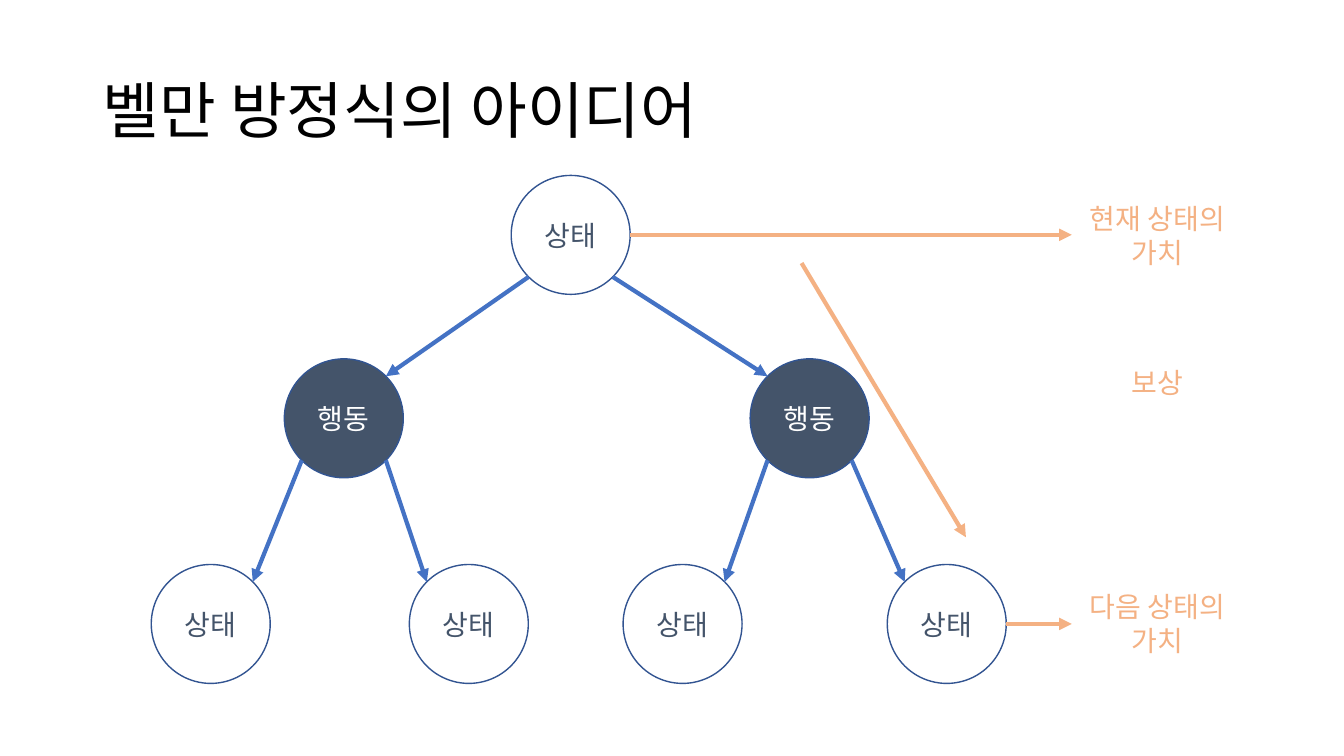
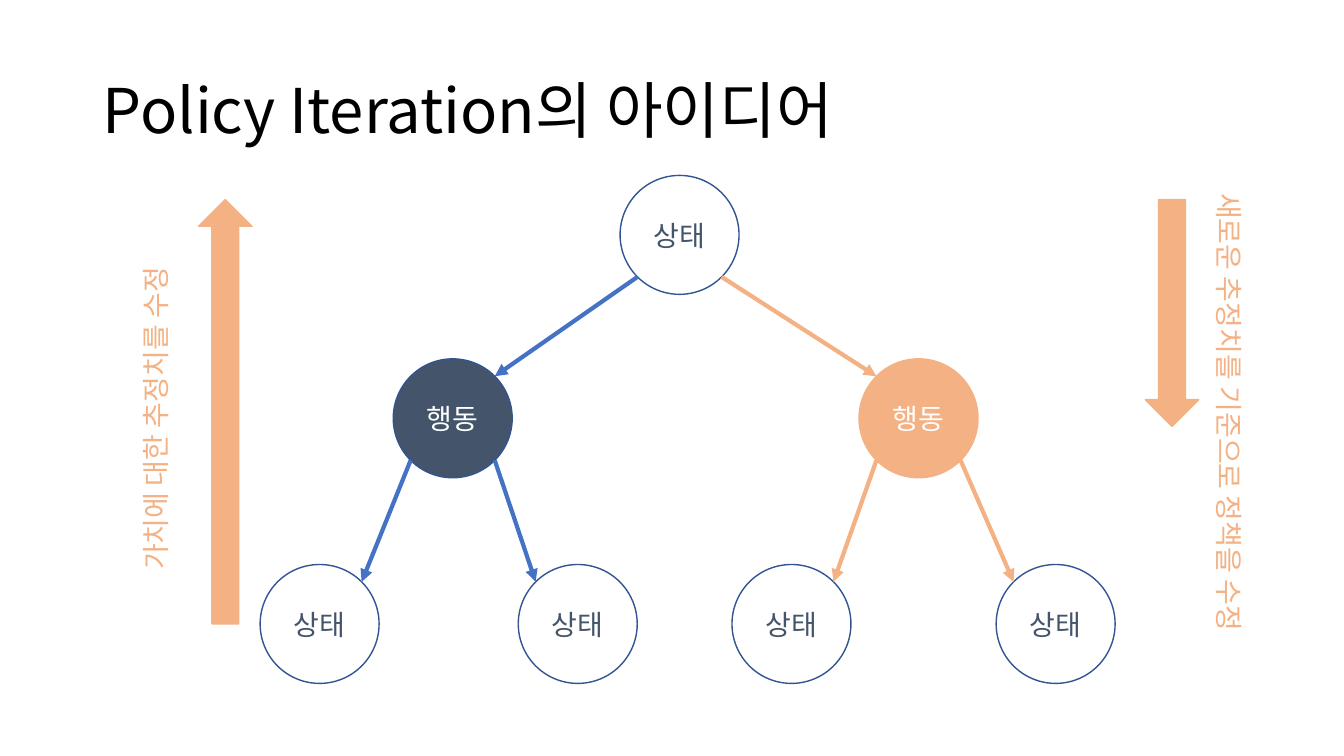
from math import cos, radians, sin

from lxml.etree import SubElement
from pptx import Presentation
from pptx.dml.color import RGBColor
from pptx.enum.shapes import MSO_CONNECTOR, MSO_SHAPE
from pptx.enum.text import MSO_ANCHOR, MSO_AUTO_SIZE, PP_ALIGN
from pptx.oxml.ns import qn
from pptx.util import Pt

# Shared style
PX = 9144  # EMU per px, 100 px to the inch
FONT = "Noto Sans CJK KR"
BLACK, WHITE = "000000", "FFFFFF"
SLATE, OUTLINE, BLUE, ORANGE = "44546A", "325491", "4472C4", "F4B183"
TITLE_BOX = (92, 40, 1150, 145)

# Tree: node -> (text, left, top); edges run parent -> child
SIZE = 118
NODES = {
    "root": ("상태", 507, 174),
    "left": ("행동", 282, 356),
    "right": ("행동", 744, 356),
    "leaf1": ("상태", 150, 560),
    "leaf2": ("상태", 406, 560),
    "leaf3": ("상태", 618, 560),
    "leaf4": ("상태", 880, 560),
}
EDGES = [("root", "left"), ("root", "right"), ("left", "leaf1"),
         ("left", "leaf2"), ("right", "leaf3"), ("right", "leaf4")]

# Connection sites of an ellipse, counterclockwise from the top
TOP_LEFT, BOTTOM_LEFT, BOTTOM_RIGHT, RIGHT, TOP_RIGHT = 1, 3, 5, 6, 7

SLIDES = [
    {
        "title": "벨만 방정식의 아이디어",
        "shift": 0,
        "chosen": (),
        "labels": [("현재 상태의\n가치", (1063, 195, 170, 77), 0),
                   ("다음 상태의 가치", (1063, 580, 170, 77), 0),
                   ("보상", (1110, 358, 76, 44), 0)],
        "value_arrows": ["root", "leaf4"],
        "reward_arrows": [((795, 261), (958, 533))],
        "block_arrows": [],
    },
    {
        "title": "Policy Iteration의 아이디어",
        "shift": 108,
        "chosen": ("right",),
        "labels": [("가치에 대한 추정치를 수정", (-84, 393, 477, 44), 270),
                   ("새로운 추정치를 기준으로 정책을 수정", (962, 387, 515, 44), 90)],
        "value_arrows": [],
        "reward_arrows": [],
        "block_arrows": [(MSO_SHAPE.UP_ARROW, (197, 198, 53, 421)),
                         (MSO_SHAPE.DOWN_ARROW, (1136, 198, 53, 225))],
    },
]
VALUE_ARROW_END = 1063


def rgb(color):
    return RGBColor.from_string(color)


def emu(values):
    return [round(v * PX) for v in values]


def write(shape, text, size=20, color=ORANGE, align=PP_ALIGN.CENTER,
          anchor=MSO_ANCHOR.MIDDLE, spacing=None):
    tf = shape.text_frame
    tf.word_wrap = True
    tf.auto_size = MSO_AUTO_SIZE.NONE
    tf.vertical_anchor = anchor
    for i, line in enumerate(text.split("\n")):
        p = tf.add_paragraph() if i else tf.paragraphs[0]
        p.alignment = align
        p.line_spacing = spacing
        r = p.add_run()
        r.text = line
        r.font.name, r.font.size = FONT, Pt(size)
        r.font.color.rgb = rgb(color)
        SubElement(r.font._element, qn("a:ea"), typeface=FONT)


def add_shape(s, kind, box, fill, line):
    sp = s.shapes.add_shape(kind, *emu(box))
    sp.shadow.inherit = False
    sp.fill.solid()
    sp.fill.fore_color.rgb = rgb(fill)
    sp.line.color.rgb = rgb(line)
    sp.line.width = Pt(1)
    return sp


def add_arrow(s, start, end, color):
    cxn = s.shapes.add_connector(MSO_CONNECTOR.STRAIGHT, *emu(start + end))
    cxn.line.color.rgb = rgb(color)
    cxn.line.width = Pt(3)
    SubElement(cxn.line._get_or_add_ln(), qn("a:tailEnd"), type="triangle")
    SubElement(cxn._element.spPr, qn("a:effectLst"))
    return cxn


def glue(cxn, tag, node, site):
    """Attach one end of a connector to a site of a node."""
    props = cxn._element.find(".//" + qn("p:cNvCxnSpPr"))
    SubElement(props, qn(tag), id=str(node.shape_id), idx=str(site))


def site_point(name, site, shift):
    _, left, top = NODES[name]
    angle, radius = radians(45 * site), SIZE / 2
    return (left + shift + radius * (1 - sin(angle)),
            top + radius * (1 - cos(angle)))


def add_tree(s, shift, chosen):
    shapes = {}
    for name, (text, left, top) in NODES.items():
        if name in chosen:
            fill, line, color = ORANGE, ORANGE, WHITE
        elif text == "행동":
            fill, line, color = SLATE, OUTLINE, WHITE
        else:
            fill, line, color = WHITE, OUTLINE, SLATE
        box = (left + shift, top, SIZE, SIZE)
        shapes[name] = add_shape(s, MSO_SHAPE.OVAL, box, fill, line)
        write(shapes[name], text, color=color)
    for parent, child in EDGES:
        if NODES[child][1] < NODES[parent][1]:
            out, into = BOTTOM_LEFT, TOP_RIGHT
        else:
            out, into = BOTTOM_RIGHT, TOP_LEFT
        color = ORANGE if {parent, child} & set(chosen) else BLUE
        cxn = add_arrow(s, site_point(parent, out, shift),
                        site_point(child, into, shift), color)
        glue(cxn, "a:stCxn", shapes[parent], out)
        glue(cxn, "a:endCxn", shapes[child], into)
    return shapes


def add_slide(prs, data):
    s = prs.slides.add_slide(prs.slide_layouts[5])
    title = s.shapes.title
    title.left, title.top, title.width, title.height = emu(TITLE_BOX)
    write(title, data["title"], size=44, color=BLACK,
          align=PP_ALIGN.LEFT, spacing=0.9)
    nodes = add_tree(s, data["shift"], data["chosen"])

    # Arrows beside the tree
    for name in data["value_arrows"]:
        start = site_point(name, RIGHT, data["shift"])
        cxn = add_arrow(s, start, (VALUE_ARROW_END, start[1]), ORANGE)
        glue(cxn, "a:stCxn", nodes[name], RIGHT)
    for start, end in data["reward_arrows"]:
        add_arrow(s, start, end, ORANGE)
    for kind, box in data["block_arrows"]:
        add_shape(s, kind, box, ORANGE, ORANGE)

    # Labels
    for text, box, rotation in data["labels"]:
        label = s.shapes.add_textbox(*emu(box))
        label.rotation = rotation
        write(label, text, anchor=MSO_ANCHOR.TOP)


def main():
    prs = Presentation()
    prs.slide_width, prs.slide_height = emu((1333, 750))
    for data in SLIDES:
        add_slide(prs, data)
    prs.save("out.pptx")


if __name__ == "__main__":
    main()
